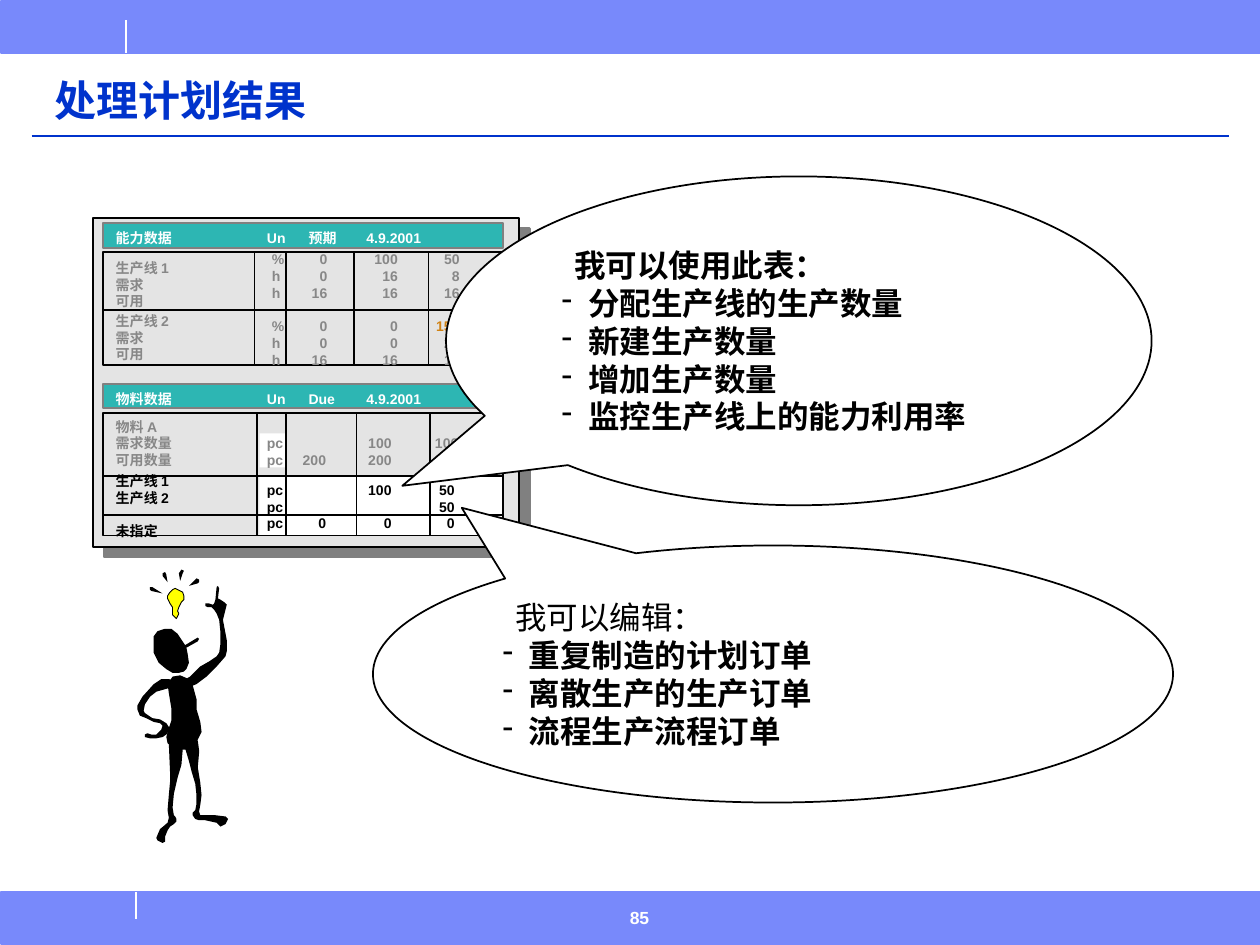
"""Build the slide on processing planning results."""
from lxml import etree
from pptx import Presentation
from pptx.dml.color import RGBColor
from pptx.enum.shapes import MSO_CONNECTOR, MSO_SHAPE
from pptx.enum.text import MSO_ANCHOR, PP_ALIGN
from pptx.oxml.ns import qn
from pptx.util import Inches, Pt

RECT, CALLOUT = MSO_SHAPE.RECTANGLE, MSO_SHAPE.OVAL_CALLOUT
STRAIGHT, LEFT = MSO_CONNECTOR.STRAIGHT, PP_ALIGN.LEFT
TOP, MIDDLE, BOTTOM = MSO_ANCHOR.TOP, MSO_ANCHOR.MIDDLE, MSO_ANCHOR.BOTTOM

THEME = {
    "band": "7889FB", "title": "0033CC", "white": "FFFFFF", "black": "000000",
    "panel": "E4E4E4", "header": "2DB6B3", "border": "808080", "muted": "878787",
    "alert": "D18213", "bulb": "FFFF00",
    "font": "Arial", "title_font": "Times New Roman",
    "title_size": 24, "callout_size": 18, "page_size": 10, "table_size": 8, "row_gap": 9.6,
}

TITLE = "处理计划结果"
PAGE_NUMBER = "85"

BANDS = [(0.01, 0.01, 9.99, 0.41), (0.01, 7.08, 9.99, 0.41)]
BAND_RULES = [
    (1, 0.16, 1, 0.42, "white"), (1.08, 7.08, 1.08, 7.29, "white"),
    (0.25, 1.08, 9.75, 1.08, "title"),
]

HEADER_LEFTS = (0.82, 2.02, 2.35, 2.81)
WHITE_CELLS = [(2.06, 3.44, 0.21, 0.27), (2.06, 3.78, 1.94, 0.47)]
SECTIONS = [
    {
        "header_box": (0.82, 1.77, 3.17, 0.2),
        "headers": ("能力数据", "Un", "预期", "4.9.2001"),
        "body": (0.82, 2, 3.17, 0.9),
        "columns": (2.02, 2.27, 2.81, 3.4), "rows": (2.46,),
        "labels": [
            ((0.82, 2.01, 1.03, 0.5), ("生产线 1", "需求", "可用"), "muted", None),
            ((0.82, 2.43, 1.03, 0.5), ("生产线 2", "需求", "可用"), "muted", None),
        ],
        "values": [
            ((2.06, 1.94, 1.86, 1.03), [
                ("%", "0", "100", "50"), ("h", "0", "16", "8"), ("h", "16", "16", "16"),
                ("%", "0", "0", "150"), ("h", "0", "0", "24"), ("h", "16", "16", "16"),
            ], "muted", 3, (0.44, 1, 1.49)),
        ],
    },
    {
        "header_box": (0.82, 3.05, 3.19, 0.19),
        "headers": ("物料数据", "Un", "Due", "4.9.2001"),
        "body": (0.82, 3.28, 3.17, 0.97),
        "columns": (2.04, 2.27, 2.83, 3.41), "rows": (3.78, 4.09),
        "labels": [
            ((0.82, 3.27, 1.41, 0.63), ("物料 A", "需求数量", "可用数量"), "muted", None),
            ((0.82, 3.7, 1.24, 0.63), ("生产线 1", "生产线 2", "未指定"), "black", 2),
        ],
        "values": [
            ((2.02, 3.27, 1.99, 0.63), [
                ("pc", "", "100", "100"), ("pc", "200", "200", "200"),
            ], "muted", None, (0.47, 0.99, 1.52)),
            ((2.02, 3.77, 2.03, 0.5), [
                ("pc", "", "100", "50"), ("pc", "", "", "50"), ("pc", "0", "0", "0"),
            ], "black", None, (0.47, 0.99, 1.49)),
        ],
    },
]
OVERLOAD = "150"

CALLOUTS = [
    ((3.54, 1.4, 5.6, 2.61), (-0.562, 0.441), "我可以使用此表：", True,
     ("分配生产线的生产数量", "新建生产数量", "增加生产数量", "监控生产线上的能力利用率")),
    ((2.96, 4.33, 6.35, 2.04), (-0.389, -0.647), "我可以编辑：", False,
     ("重复制造的计划订单", "离散生产的生产订单", "流程生产流程订单")),
]

BULB = [(137, 488), (137, 482), (135, 479), (133, 475), (133, 473), (135, 470), (137, 468), (139, 467), (143, 469),
        (145, 470), (146, 473), (146, 476), (144, 478), (142, 482), (141, 485), (142, 487), (141, 489), (140, 491)]
RAYS = [
    [(129, 471), (120, 469), (119, 468), (119, 466), (121, 466)],
    [(133, 462), (129, 457), (129, 455), (131, 454), (132, 456)],
    [(143, 461), (142, 455), (144, 452), (146, 453), (145, 455)],
    [(150, 465), (156, 459), (158, 460), (158, 462), (157, 463)],
]
HEAD = [(145, 509), (141, 503), (136, 499), (131, 499), (125, 501), (122, 505), (122, 518), (126, 526), (132, 531),
        (137, 534), (142, 534), (146, 533), (148, 531), (150, 526), (149, 519), (148, 514), (157, 509), (158, 507),
        (157, 506), (147, 512)]
RAISED_ARM = [(156, 532), (151, 537), (149, 538), (147, 541), (149, 544), (151, 545), (156, 543), (164, 537),
              (172, 529), (179, 521), (180, 517), (180, 508), (177, 492), (179, 484), (180, 480), (178, 478),
              (175, 476), (173, 475), (174, 467), (173, 465), (172, 466), (171, 476), (170, 479), (169, 480),
              (166, 479), (163, 479), (163, 481), (165, 482), (168, 482), (170, 484), (172, 487), (174, 492),
              (175, 502), (175, 511), (174, 518), (172, 521), (166, 525), (159, 529)]
BENT_ARM = [(138, 540), (134, 539), (128, 539), (122, 543), (113, 553), (109, 560), (109, 563), (111, 568), (116, 570),
            (122, 573), (127, 574), (129, 576), (128, 579), (124, 583), (120, 583), (117, 582), (115, 583), (115, 585),
            (119, 586), (124, 586), (129, 585), (132, 583), (134, 580), (134, 577), (132, 574), (127, 571), (121, 570),
            (115, 566), (114, 564), (115, 559), (119, 553), (124, 549), (131, 547), (138, 545)]
TORSO = [(156, 555), (153, 544), (150, 539), (143, 536), (137, 537), (133, 543), (134, 550), (136, 562), (136, 572),
         (133, 581), (132, 585), (133, 590), (136, 592), (140, 594), (144, 595), (149, 595), (155, 591), (160, 581),
         (159, 573), (156, 563)]
LEFT_LEG = [(144, 585), (138, 584), (135, 585), (134, 590), (135, 614), (135, 620), (134, 631), (133, 643), (134, 649),
            (133, 653), (127, 658), (124, 665), (125, 667), (129, 669), (131, 668), (131, 664), (133, 659), (135, 656),
            (138, 654), (140, 652), (140, 650), (139, 648), (138, 647), (137, 641), (138, 630), (141, 617), (144, 607),
            (145, 595)]
RIGHT_LEG = [(158, 595), (157, 588), (153, 584), (147, 585), (147, 594), (150, 604), (152, 612), (155, 622), (156, 631),
             (156, 638), (155, 643), (153, 645), (153, 647), (155, 650), (158, 651), (163, 651), (172, 653), (175, 656),
             (179, 654), (181, 650), (179, 648), (171, 647), (163, 647), (159, 647), (158, 644), (159, 639), (160, 631),
             (159, 621), (157, 609), (158, 598)]
FIGURE = [(BULB, "bulb", "black")] + [
    (outline, "black", None)
    for outline in (*RAYS, HEAD, RAISED_ARM, BENT_ARM, TORSO, LEFT_LEG, RIGHT_LEG)
]


def color(key):
    return RGBColor.from_string(THEME[key])


def paint(shape, fill, line=None, width=1):
    shape.shadow.inherit = False
    if fill:
        shape.fill.solid()
        shape.fill.fore_color.rgb = color(fill)
    else:
        shape.fill.background()
    if line:
        shape.line.color.rgb = color(line)
        shape.line.width = Pt(width)
    else:
        shape.line.fill.background()


def add_block(slide, box, fill, line=None, width=1, kind=RECT):
    block = slide.shapes.add_shape(kind, *map(Inches, box))
    paint(block, fill, line, width)
    return block


def add_rule(slide, x1, y1, x2, y2, key="black"):
    rule = slide.shapes.add_connector(STRAIGHT, *map(Inches, (x1, y1, x2, y2)))
    rule.line.color.rgb = color(key)
    rule.line.width = Pt(1)
    etree.SubElement(rule._element.spPr, qn("a:effectLst"))


def style(paragraph, size, key, bold=True, font="font"):
    paragraph.alignment = LEFT
    for run in paragraph.runs:
        run.font.name, run.font.size, run.font.bold = THEME[font], Pt(THEME[size]), bold
        run.font.color.rgb = color(key)


def add_text(slide, box, lines, key, size="table_size", gap_at=None, anchor=TOP):
    frame = slide.shapes.add_textbox(*map(Inches, box)).text_frame
    frame.word_wrap, frame.vertical_anchor = True, anchor
    frame.text = "\n".join(lines)
    for index, paragraph in enumerate(frame.paragraphs):
        style(paragraph, size, key)
        if index == gap_at:
            paragraph.space_before = Pt(THEME["row_gap"])
    return frame


def add_values(slide, box, rows, key, gap_at, stops):
    frame = add_text(slide, box, ["\t".join(row[:-1]) + "\t" for row in rows], key, gap_at=gap_at, anchor=MIDDLE)
    for paragraph, row in zip(frame.paragraphs, rows):
        tabs = etree.SubElement(paragraph._p.get_or_add_pPr(), qn("a:tabLst"))
        for stop in stops:
            etree.SubElement(tabs, qn("a:tab"), pos=str(Inches(stop)), algn="r")
        paragraph.add_run().text = row[-1]
        style(paragraph, "table_size", key)
        if row[-1] == OVERLOAD:
            paragraph.runs[-1].font.color.rgb = color("alert")


def add_panel(slide):
    panel = add_block(slide, (0.74, 1.73, 3.38, 2.61), "panel", "black", 1.39)
    effects = panel._element.spPr.find(qn("a:effectLst"))
    shadow = etree.SubElement(effects, qn("a:outerShdw"), dist=str(Pt(8.5)), dir="2700000", algn="ctr", rotWithShape="0")
    etree.SubElement(shadow, qn("a:srgbClr"), val=THEME["border"])
    for cell in WHITE_CELLS:
        add_block(slide, cell, "white")


def add_section(slide, section):
    add_block(slide, section["header_box"], "header", "border")
    left, top, width, height = section["body"]
    add_block(slide, section["body"], None, "black")
    for values in section["values"]:
        add_values(slide, *values)
    for y in section["rows"]:
        add_rule(slide, left, y, left + width, y)
    for x in section["columns"]:
        add_rule(slide, x, top, x, top + height)
    for x, header in zip(HEADER_LEFTS, section["headers"]):
        add_text(slide, (x, section["header_box"][1], 0.95, 0.24), [header], "white")
    for box, lines, key, gap_at in section["labels"]:
        add_text(slide, box, lines, key, gap_at=gap_at)


def add_callout(slide, box, tip, heading, bold_heading, items):
    callout = add_block(slide, box, "white", "black", kind=CALLOUT)
    callout.adjustments[0], callout.adjustments[1] = tip
    frame = callout.text_frame
    frame.word_wrap, frame.vertical_anchor = True, MIDDLE
    frame.text = "\n".join((heading, *items))
    for index, paragraph in enumerate(frame.paragraphs):
        properties = paragraph._p.get_or_add_pPr()
        properties.set("marL", str(Inches(0.21 if index else 0.1)))
        if index:
            properties.set("indent", str(-Inches(0.21)))
            etree.SubElement(properties, qn("a:buChar"), char="-")
        style(paragraph, "callout_size", "black", bool(index) or bold_heading)


def add_outline(slide, points, fill, line):
    builder = slide.shapes.build_freeform(*points[0], scale=Inches(0.01))
    builder.add_line_segments(points[1:], close=True)
    paint(builder.convert_to_shape(), fill, line, 0.5)


def add_title(slide):
    title = slide.shapes.title
    title.left, title.top, title.width, title.height = map(Inches, (0.33, 0.5, 9.18, 0.55))
    title.text_frame.text = TITLE
    title.text_frame.vertical_anchor = BOTTOM
    heading = title.text_frame.paragraphs[0]
    heading.line_spacing = 0.9
    style(heading, "title_size", "title", font="title_font")


def main():
    deck = Presentation()
    deck.slide_width, deck.slide_height = Inches(10), Inches(7.5)
    slide = deck.slides.add_slide(deck.slide_layouts[5])
    for band in BANDS:
        add_block(slide, band, "band", "band")
    for rule in BAND_RULES:
        add_rule(slide, *rule)
    add_title(slide)
    add_panel(slide)
    for section in SECTIONS:
        add_section(slide, section)
    for callout in CALLOUTS:
        add_callout(slide, *callout)
    for part in FIGURE:
        add_outline(slide, *part)
    add_text(slide, (4.9, 7.15, 0.83, 0.35), [PAGE_NUMBER], "white", "page_size")
    deck.save("out.pptx")


if __name__ == "__main__":
    main()
